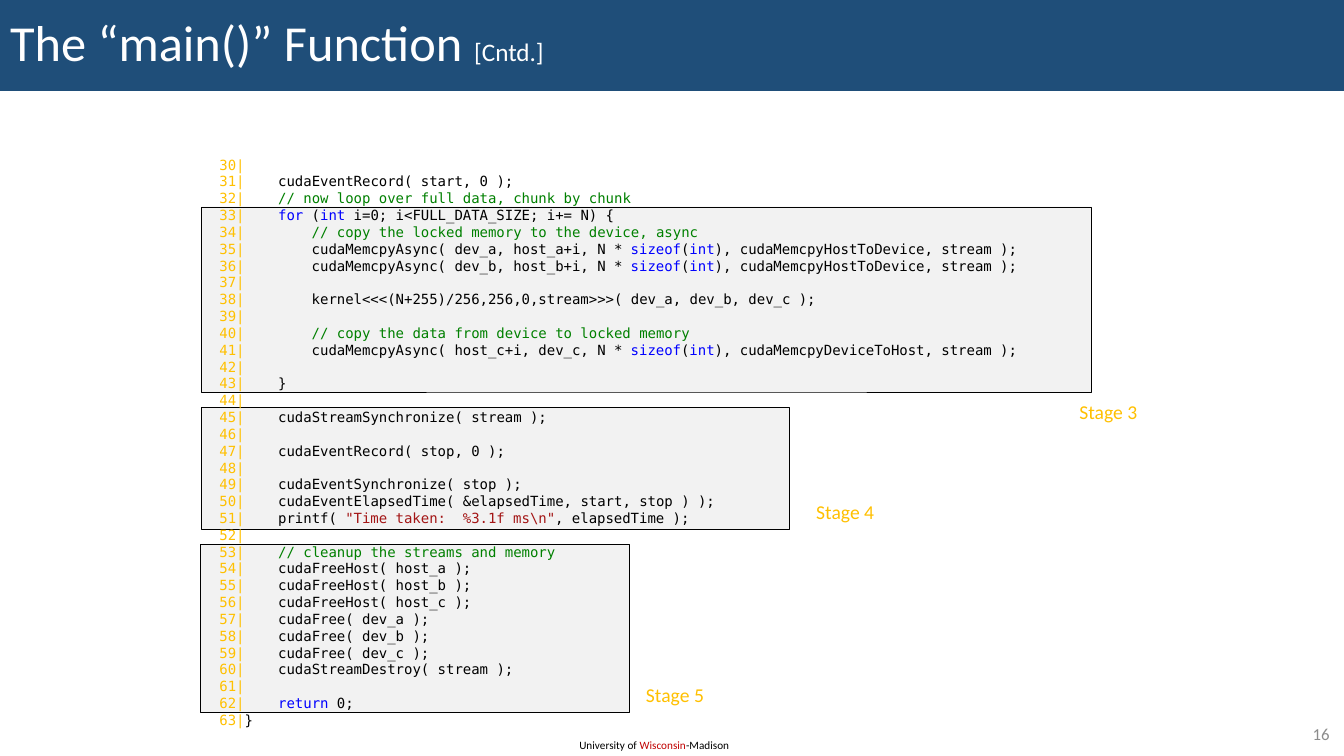
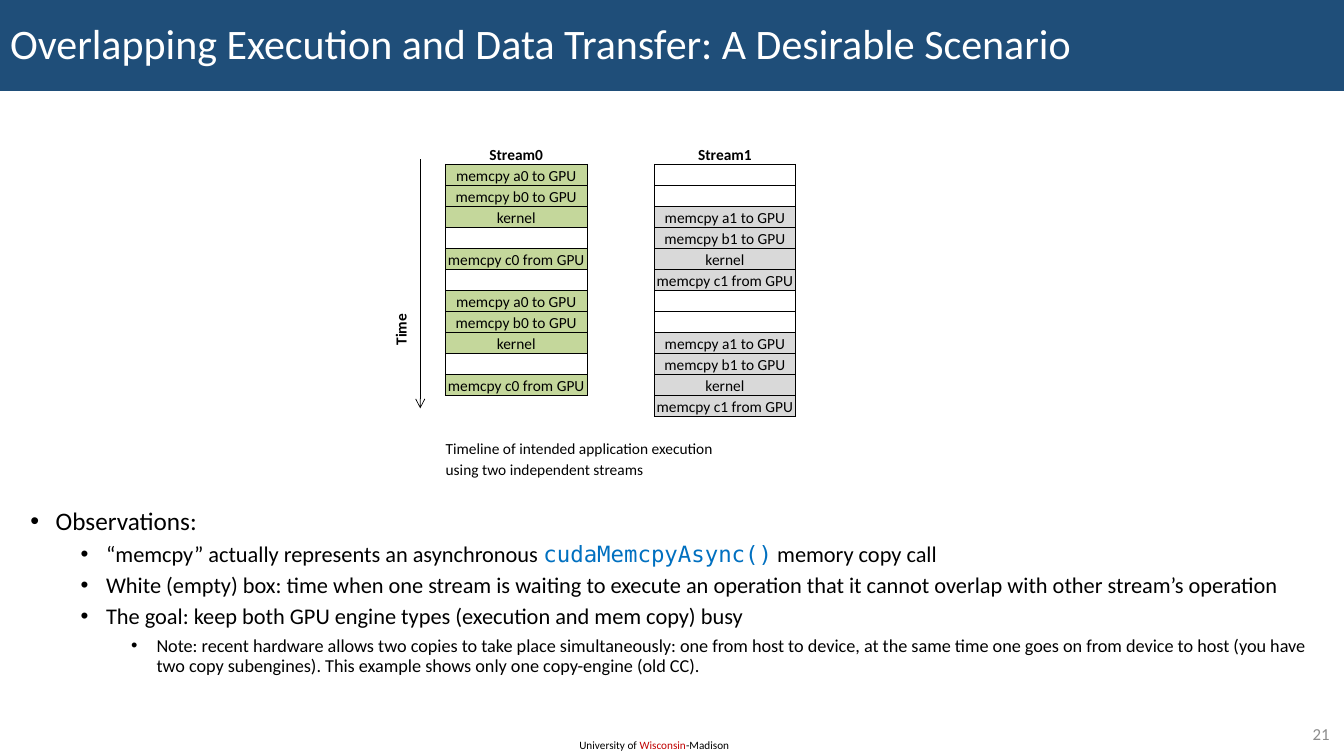
from dataclasses import dataclass

from lxml import etree
from pptx import Presentation
from pptx.dml.color import RGBColor
from pptx.enum.shapes import MSO_CONNECTOR, MSO_SHAPE
from pptx.enum.text import MSO_ANCHOR, MSO_AUTO_SIZE, PP_ALIGN
from pptx.oxml import parse_xml
from pptx.oxml.ns import nsdecls, qn
from pptx.util import Cm, Pt


@dataclass(frozen=True)
class Theme:
    sans: str = "Calibri"
    mono: str = "DejaVu Sans Mono"
    black: RGBColor = RGBColor.from_string("000000")
    white: RGBColor = RGBColor.from_string("FFFFFF")
    band: RGBColor = RGBColor.from_string("1F4E79")
    red: RGBColor = RGBColor.from_string("C00000")
    page: RGBColor = RGBColor.from_string("8C8C8C")
    stage: RGBColor = RGBColor.from_string("F2F2F2")
    amber: RGBColor = RGBColor.from_string("FFC000")
    comment: RGBColor = RGBColor.from_string("008000")
    keyword: RGBColor = RGBColor.from_string("0000FF")
    literal: RGBColor = RGBColor.from_string("A31515")
    call: RGBColor = RGBColor.from_string("0070C0")
    stream0: RGBColor = RGBColor.from_string("C4D79B")
    stream1: RGBColor = RGBColor.from_string("D9D9D9")
    footer_size: int = 8
    code_size: int = 10
    table_size: int = 11
    page_size: int = 12
    label_size: int = 14


T = Theme()


def write(paragraph, size, *runs, font=T.sans, bold=False):
    """Append (text, colour) runs to a paragraph."""
    for text, colour in runs:
        run = paragraph.add_run()
        run.text = text
        run.font.name = font
        run.font.size = Pt(size)
        run.font.bold = bold
        run.font.color.rgb = colour


def add_text(slide, left, top, width, height, wrap=True):
    """Add an empty text box, measured in centimetres."""
    box = slide.shapes.add_textbox(Cm(left), Cm(top), Cm(width), Cm(height))
    box.text_frame.word_wrap = wrap
    return box


prs = Presentation()
prs.slide_width, prs.slide_height = Cm(33.87), Cm(19.05)

# Title band and page number of each slide
HEADINGS = [
    (5, "16", [("The “main()” Function ", 36), ("[Cntd.]", 18)]),
    (1, "21", [("Overlapping Execution and Data Transfer: A Desirable Scenario", 30)]),
]
for layout, page, heading in HEADINGS:
    slide = prs.slides.add_slide(prs.slide_layouts[layout])
    title = slide.shapes.title
    title.left, title.top = Cm(0), Cm(0)
    title.width, title.height = prs.slide_width, Cm(2.29)
    title.fill.solid()
    title.fill.fore_color.rgb = T.band
    title.text_frame.auto_size = MSO_AUTO_SIZE.NONE
    title.text_frame.vertical_anchor = MSO_ANCHOR.MIDDLE
    line = title.text_frame.paragraphs[0]
    line.alignment = PP_ALIGN.LEFT
    line.line_spacing = 0.9
    for text, size in heading:
        write(line, size, (text, T.white))

    number = add_text(slide, 31.83, 18.11, 1.93, 0.74).text_frame
    number.vertical_anchor = MSO_ANCHOR.MIDDLE
    number.paragraphs[0].alignment = PP_ALIGN.RIGHT
    write(number.paragraphs[0], T.page_size, (page, T.page))

main_slide, overlap_slide = prs.slides

# Footer, moved to the master so that every slide shows it
footer = add_text(main_slide, 14.35, 18.49, 4.37, 0.61)
write(footer.text_frame.paragraphs[0], T.footer_size,
      ("University of ", T.black), ("Wisconsin", T.red), ("-Madison", T.black))
footer.element.nvSpPr.cNvPr.set("id", "20")
prs.slide_master.shapes.element.append(footer.element)

# Stages: frame, then the place of its label
STAGES = [
    ("Stage 3", (5.08, 5.21, 22.43, 4.67), (26.95, 9.96)),
    ("Stage 4", (5.08, 10.26, 14.81, 3.07), (20.32, 12.47)),
    ("Stage 5", (5.05, 13.72, 10.82, 4.24), (16.03, 17.09)),
]
for stage, frame, place in STAGES:
    area = main_slide.shapes.add_shape(MSO_SHAPE.RECTANGLE, *map(Cm, frame))
    area.shadow.inherit = False
    area.fill.solid()
    area.fill.fore_color.rgb = T.stage
    area.line.color.rgb = T.black
    area.line.width = Pt(0.25)
    label = add_text(main_slide, *place, 2.01, 0.86, wrap=False)
    write(label.text_frame.paragraphs[0], T.label_size, (stage, T.amber))

# Code listing: backticks enclose keywords and string literals
FIRST_LINE = 30
CODE = [
    "",
    "    cudaEventRecord( start, 0 );",
    "    // now loop over full data, chunk by chunk",
    "    `for` (`int` i=0; i<FULL_DATA_SIZE; i+= N) {",
    "        // copy the locked memory to the device, async",
    "        cudaMemcpyAsync( dev_a, host_a+i, N * `sizeof`(`int`), cudaMemcpyHostToDevice, stream );",
    "        cudaMemcpyAsync( dev_b, host_b+i, N * `sizeof`(`int`), cudaMemcpyHostToDevice, stream );",
    "",
    "        kernel<<<(N+255)/256,256,0,stream>>>( dev_a, dev_b, dev_c );",
    "",
    "        // copy the data from device to locked memory",
    "        cudaMemcpyAsync( host_c+i, dev_c, N * `sizeof`(`int`), cudaMemcpyDeviceToHost, stream );",
    "",
    "    }",
    "",
    "    cudaStreamSynchronize( stream );",
    "",
    "    cudaEventRecord( stop, 0 );",
    "",
    "    cudaEventSynchronize( stop );",
    "    cudaEventElapsedTime( &elapsedTime, start, stop ) );",
    r'    printf( `"Time taken:  %3.1f ms\n"`, elapsedTime );',
    "",
    "    // cleanup the streams and memory",
    "    cudaFreeHost( host_a );",
    "    cudaFreeHost( host_b );",
    "    cudaFreeHost( host_c );",
    "    cudaFree( dev_a );",
    "    cudaFree( dev_b );",
    "    cudaFree( dev_c );",
    "    cudaStreamDestroy( stream );",
    "",
    "    `return` 0;",
    "}",
]
listing = add_text(main_slide, 5.28, 3.81, 22.66, 14.78).text_frame
for index, source in enumerate(CODE):
    line = listing.add_paragraph() if index else listing.paragraphs[0]
    code = source.lstrip()
    indent = source[:len(source) - len(code)]
    runs = [(f"{FIRST_LINE + index}|{indent}", T.amber)]
    if code.startswith("//"):
        runs.append((code, T.comment))
    else:
        for position, piece in enumerate(code.split("`")):
            marked = T.literal if piece.startswith('"') else T.keyword
            if piece:
                runs.append((piece, marked if position % 2 else T.black))
    write(line, T.code_size, *runs, font=T.mono)

# Observations: level, size, runs of (text, colour, font)
OBSERVATIONS = [
    (0, 18, [("Observations:", T.black, T.sans)]),
    (1, 16, [("“memcpy” actually represents an asynchronous ", T.black, T.sans),
             ("cudaMemcpyAsync()", T.call, T.mono),
             (" memory copy call", T.black, T.sans)]),
    (1, 16, [("White (empty) box: time when one stream is waiting to execute an operation "
              "that it cannot overlap with other stream’s operation", T.black, T.sans)]),
    (1, 16, [("The goal: keep both GPU engine types (execution and mem copy) busy",
              T.black, T.sans)]),
    (2, 13, [("Note: recent hardware allows two copies to take place simultaneously: one from "
              "host to device, at the same time one goes on from device to host (you have two "
              "copy subengines). This example shows only one copy-engine (old CC).",
              T.black, T.sans)]),
]
observations = overlap_slide.placeholders[1]
observations.left, observations.top = Cm(0.51), Cm(12.7)
observations.width, observations.height = Cm(32.74), Cm(5.82)
observations.text_frame.auto_size = MSO_AUTO_SIZE.NONE
for index, (level, size, runs) in enumerate(OBSERVATIONS):
    frame = observations.text_frame
    item = frame.add_paragraph() if index else frame.paragraphs[0]
    item.level = level
    item.line_spacing = 0.9
    item.space_before = Pt(5 if level else 10)
    for text, colour, font in runs:
        write(item, size, (text, colour), font=font)
    properties = item._p.get_or_add_pPr()
    properties.set("marL", str(Cm(0.64 + 1.27 * level)))
    properties.set("indent", str(-Cm(0.64)))
    etree.SubElement(properties, qn("a:buChar"), char="•")

# Timeline: one list of steps per stream, empty while the stream waits
CYCLE0 = ["memcpy a0 to GPU", "memcpy b0 to GPU", "kernel", "", "memcpy c0 from GPU"]
CYCLE1 = ["", "", "memcpy a1 to GPU", "memcpy b1 to GPU", "kernel", "memcpy c1 from GPU"]
STREAMS = [
    (1, "Stream0", CYCLE0 + [""] + CYCLE0, T.stream0),
    (3, "Stream1", CYCLE1 * 2, T.stream1),
]
CAPTION = ["Timeline of intended application execution", "using two independent streams"]
CAPTION_ROW, ROWS, WIDTHS = 14, 17, [1.7, 3.56, 1.7, 3.56]

graphic = overlap_slide.shapes.add_table(ROWS, len(WIDTHS), Cm(9.53), Cm(3.61),
                                         Cm(sum(WIDTHS)), Cm(0.53 * ROWS))
timeline = graphic.table
timeline.first_row = timeline.horz_banding = False
NO_GRID = "{2D5ABB26-0587-4C30-8999-92F81FD0307C}"
timeline._tbl.tblPr.find(qn("a:tableStyleId")).text = NO_GRID
for column, width in zip(timeline.columns, WIDTHS):
    column.width = Cm(width)
for row in timeline.rows:
    row.height = Cm(0.53)

texts, fills = {}, {}
for column, name, steps, colour in STREAMS:
    texts[0, column] = name
    for row, step in enumerate(steps, 1):
        texts[row, column] = step
        fills[row, column] = colour if step else None
for row, text in enumerate(CAPTION, CAPTION_ROW):
    timeline.cell(row, 1).merge(timeline.cell(row, 3))
    texts[row, 1] = text

for row in range(ROWS):
    for column in range(len(WIDTHS)):
        cell = timeline.cell(row, column)
        cell.margin_left = cell.margin_right = cell.margin_top = cell.margin_bottom = 0
        cell.vertical_anchor = MSO_ANCHOR.BOTTOM
        line = cell.text_frame.paragraphs[0]
        text = texts.get((row, column))
        if text:
            line.alignment = PP_ALIGN.LEFT if row >= CAPTION_ROW else PP_ALIGN.CENTER
            write(line, T.table_size, (text, T.black), bold=row == 0)
        else:
            etree.SubElement(line._p, qn("a:endParaRPr"), sz=str(T.table_size * 100))
        if fills.get((row, column)):
            cell.fill.solid()
            cell.fill.fore_color.rgb = fills[row, column]
        else:
            cell.fill.background()
        if (row, column) in fills:
            for order, side in enumerate("LRTB"):
                cell._tc.get_or_add_tcPr().insert(order, parse_xml(
                    f'<a:ln{side} {nsdecls("a")} w="{Pt(0.5)}"><a:solidFill>'
                    f'<a:srgbClr val="{T.black}"/></a:solidFill></a:ln{side}>'))

# Time axis
axis = overlap_slide.shapes.add_connector(MSO_CONNECTOR.STRAIGHT,
                                          Cm(10.59), Cm(4.01), Cm(10.59), Cm(10.29))
axis.line.color.rgb = T.black
axis.line.width = Pt(0.5)
etree.SubElement(axis.line._get_or_add_ln(), qn("a:tailEnd"), type="arrow")
etree.SubElement(axis.element.spPr, qn("a:effectLst"))
time = add_text(overlap_slide, 8.81, 7.34, 2.54, 0.69)
time.rotation = 270
write(time.text_frame.paragraphs[0], T.table_size, ("Time", T.black), bold=True)

prs.save("out.pptx")
